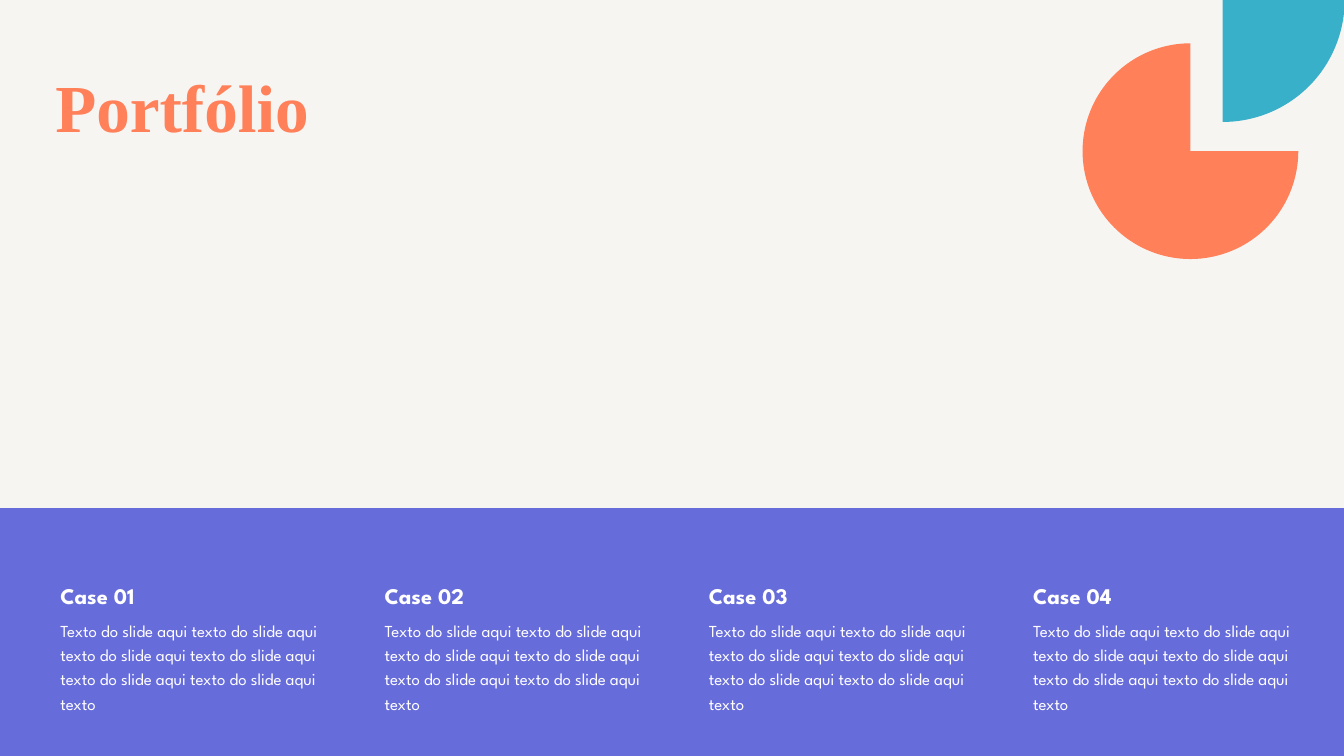
from dataclasses import dataclass

from pptx import Presentation
from pptx.dml.color import RGBColor
from pptx.enum.shapes import MSO_SHAPE
from pptx.util import Inches, Pt

COLORS = {
    "background": "F7F5F2",
    "teal": "38B0C9",
    "coral": "FF8059",
    "violet": "676CDB",
    "white": "FFFFFF",
}
BODY = "Texto do slide aqui " + "texto do slide aqui " * 5 + "texto"
SLIDE_HEIGHT = 7.5
SLIDE_WIDTH = SLIDE_HEIGHT * 16 / 9
CASE_COUNT = 4
CASE_LEFT, CASE_LAST_LEFT, CASE_WIDTH = 0.5, 10.15, 2.75
CASE_STEP = (CASE_LAST_LEFT - CASE_LEFT) / (CASE_COUNT - 1)


@dataclass
class Block:
    kind: MSO_SHAPE
    left: float
    top: float
    width: float
    height: float
    color: str
    rotation: int = 0


@dataclass
class TextStyle:
    font: str
    size: int
    color: str
    bold: bool = False
    spacing: float | Pt | None = None


TITLE = TextStyle("Times New Roman", 48, "coral", True, Pt(70))
CASE_TITLE = TextStyle("League Spartan", 16, "white", True)
CASE_BODY = TextStyle("League Spartan", 12, "white", spacing=1.2)

SECTORS = [
    Block(MSO_SHAPE.PIE_WEDGE, 12.13, 0, 1.21, 1.21, "teal", 180),
    Block(MSO_SHAPE.PIE, 10.74, 0.43, 2.14, 2.14, "coral"),
]
BAND = Block(MSO_SHAPE.RECTANGLE, 0, 5.04, SLIDE_WIDTH, 2.46, "violet")


def rgb(name: str) -> RGBColor:
    return RGBColor.from_string(COLORS[name])


def add_block(shapes, block: Block) -> None:
    sp = shapes.add_shape(block.kind, Inches(block.left), Inches(block.top),
                          Inches(block.width), Inches(block.height))
    sp.rotation = block.rotation
    sp.fill.solid()
    sp.fill.fore_color.rgb = rgb(block.color)
    sp.line.fill.background()
    sp.shadow.inherit = False


def add_text(shapes, text: str, left: float, top: float, width: float,
             height: float, style: TextStyle) -> None:
    sp = shapes.add_textbox(Inches(left), Inches(top), Inches(width), Inches(height))
    tf = sp.text_frame
    tf.word_wrap = True
    tf.text = text
    p = tf.paragraphs[0]
    p.line_spacing = style.spacing
    r = p.runs[0]
    r.font.name = style.font
    r.font.size = Pt(style.size)
    r.font.bold = style.bold
    r.font.color.rgb = rgb(style.color)


def add_case(shapes, index: int) -> None:
    left = CASE_LEFT + index * CASE_STEP
    group = shapes.add_group_shape()
    add_text(group.shapes, BODY, left, 6.07, CASE_WIDTH, 1.05, CASE_BODY)
    add_text(group.shapes, f"Case {index + 1:02}", left, 5.73, CASE_WIDTH, 0.37, CASE_TITLE)


def main() -> None:
    prs = Presentation()
    prs.slide_width, prs.slide_height = Inches(SLIDE_WIDTH), Inches(SLIDE_HEIGHT)
    s = prs.slides.add_slide(prs.slide_layouts[6])
    s.background.fill.solid()
    s.background.fill.fore_color.rgb = rgb("background")

    # Corner decoration
    decoration = s.shapes.add_group_shape()
    for sector in SECTORS:
        add_block(decoration.shapes, sector)

    # Bottom band
    add_block(s.shapes, BAND)

    # Title and cases
    add_text(s.shapes, "Portfólio", 0.45, 0.43, 7.75, 1.08, TITLE)
    for index in range(CASE_COUNT):
        add_case(s.shapes, index)

    prs.save("out.pptx")


if __name__ == "__main__":
    main()
